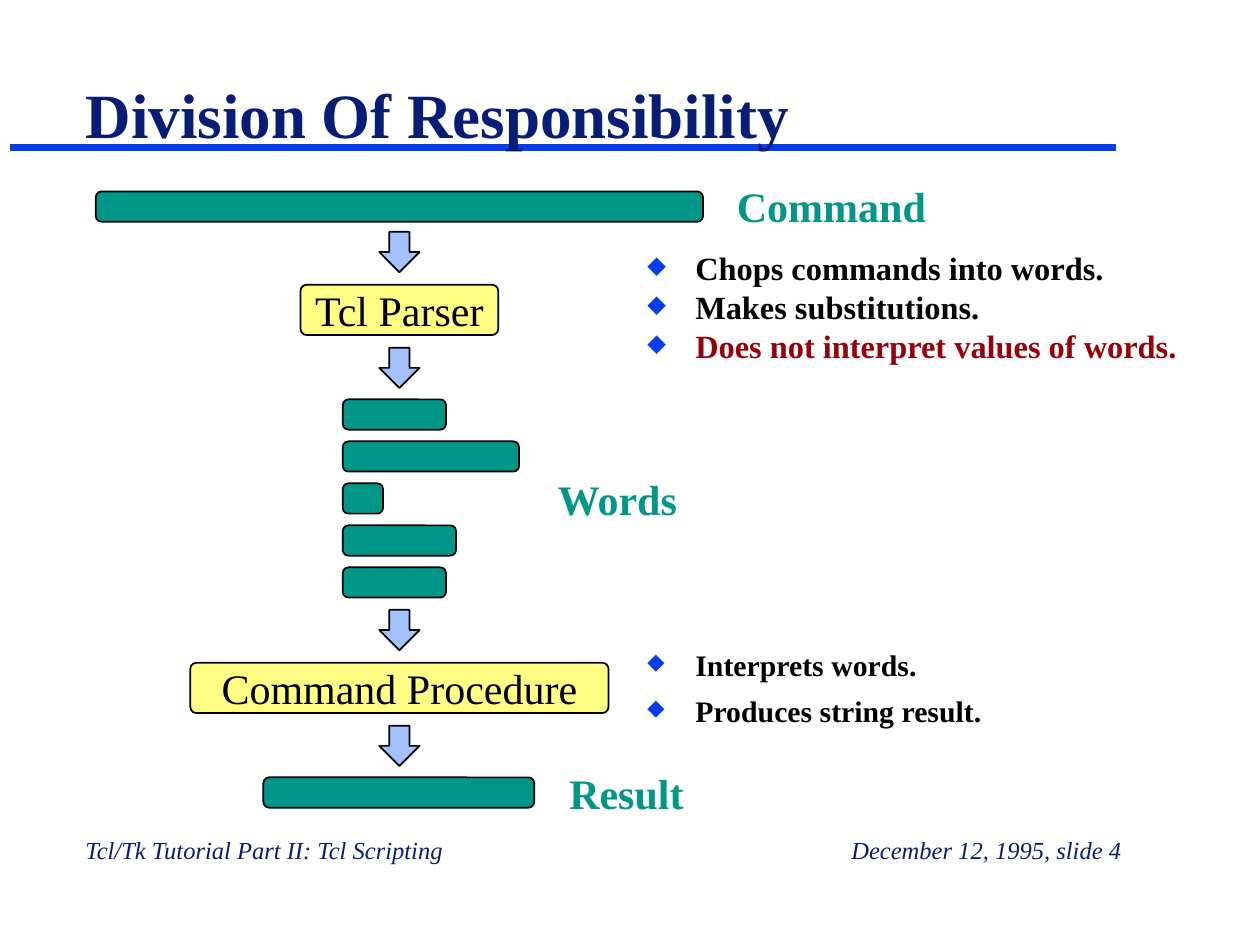
from lxml import etree
from pptx import Presentation
from pptx.dml.color import RGBColor as RGB
from pptx.enum.shapes import MSO_CONNECTOR as LINE, MSO_SHAPE as SHAPE
from pptx.enum.text import MSO_ANCHOR as ANCHOR, MSO_AUTO_SIZE as SIZE, PP_ALIGN as ALIGN
from pptx.oxml.ns import qn
from pptx.util import Inches, Pt

HEX = {"navy": "081D75", "blue": "063DE8", "teal": "009688", "sky": "A2C1FE",
       "yellow": "FFFF84", "red": "97000A", "black": "000000"}
AXIS = 3.17  # centre line of the flow


def add_run(para, text, size, color, bold=False, italic=False):
    run = para.add_run()
    run.text = text
    font = run.font
    font.name, font.size = "Times New Roman", Pt(size)
    font.bold, font.italic = bold, italic
    font.color.rgb = RGB.from_string(HEX[color])


def add_block(kind, left, top, width, height, fill, adj):
    block = slide.shapes.add_shape(kind, Inches(left), Inches(top),
                                   Inches(width), Inches(height))
    block.shadow.inherit = False
    block.fill.solid()
    block.fill.fore_color.rgb = RGB.from_string(HEX[fill])
    block.line.color.rgb = RGB.from_string(HEX["black"])
    block.line.width = Pt(1)
    block.adjustments[0] = adj
    return block


prs = Presentation()
prs.slide_width, prs.slide_height = Inches(10), Inches(7.5)
slide = prs.slides.add_slide(prs.slide_layouts[5])

# Title and its rule
rule = slide.shapes.add_connector(LINE.STRAIGHT, Inches(0.08), Inches(1.17),
                                  Inches(8.86), Inches(1.17))
rule.line.color.rgb = RGB.from_string(HEX["blue"])
rule.line.width = Pt(4)
etree.SubElement(rule._element.spPr, qn("a:effectLst"))

title = slide.shapes.title
title.left, title.top = Inches(0.58), Inches(0.04)
title.width, title.height = Inches(8.33), Inches(1.21)
frame = title.text_frame
frame.auto_size = SIZE.NONE
frame.vertical_anchor = ANCHOR.BOTTOM
frame.paragraphs[0].alignment = ALIGN.LEFT
add_run(frame.paragraphs[0], "Division Of Responsibility", 36, "navy", bold=True)
tree = slide.shapes._spTree
tree.remove(title._element)
tree.append(title._element)  # the title lies over its rule

# Command, words and result bars
bars = [(AXIS - 2.41, 1.52, 4.82), (AXIS - 1.08, 6.17, 2.15)]
bars += [(2.72, 3.17 + i / 3, width)
         for i, width in enumerate([0.82, 1.4, 0.32, 0.9, 0.82])]
for left, top, width in bars:
    add_block(SHAPE.ROUNDED_RECTANGLE, left, top, width, 0.24, "teal", 0.19)

for top in (1.84, 2.76, 4.84, 5.76):
    add_block(SHAPE.DOWN_ARROW, AXIS - 0.16, top, 0.32, 0.32, "sky", 0.5)

for text, top, width in [("Tcl Parser", 2.26, 1.57), ("Command Procedure", 5.26, 3.32)]:
    step = add_block(SHAPE.ROUNDED_RECTANGLE, AXIS - width / 2, top, width, 0.4,
                     "yellow", 0.125)
    frame = step.text_frame
    frame.word_wrap = False
    frame.vertical_anchor = ANCHOR.MIDDLE
    frame.paragraphs[0].alignment = ALIGN.CENTER
    add_run(frame.paragraphs[0], text, 24, "black")

# Bar labels and footers
labels = [("Command", 5.75, 1.38), ("Words", 4.33, 3.71), ("Result", 4.42, 6.04)]
notes = [(text, left, top, 1.84, 0.5, ALIGN.LEFT, 24, "teal", True, False)
         for text, left, top in labels]
notes += [(text, left, 6.58, 4.76, 0.33, align, 14, "navy", False, True)
          for text, left, align in [
              ("Tcl/Tk Tutorial Part II: Tcl Scripting", 0.58, ALIGN.LEFT),
              ("December 12, 1995, slide 4", 4.24, ALIGN.RIGHT)]]
for text, left, top, width, height, align, size, color, bold, italic in notes:
    box = slide.shapes.add_textbox(Inches(left), Inches(top), Inches(width), Inches(height))
    box.text_frame.word_wrap = True
    para = box.text_frame.paragraphs[0]
    para.alignment = align
    add_run(para, text, size, color, bold, italic)

# Bulleted lists
lists = [
    (1.92, 4.87, 1.08, 18.5, 0, [("Chops commands into words.", "black"),
                                 ("Makes substitutions.", "black"),
                                 ("Does not interpret values of words.", "red")]),
    (5.08, 4.12, 0.75, 17, 6.2, [("Interprets words.", "black"),
                                 ("Produces string result.", "black")]),
]
for top, width, height, size, gap, items in lists:
    box = slide.shapes.add_textbox(Inches(5.04), Inches(top), Inches(width), Inches(height))
    frame = box.text_frame
    frame.word_wrap = True
    for i, (text, color) in enumerate(items):
        para = frame.add_paragraph() if i else frame.paragraphs[0]
        para.space_before = Pt(gap)
        props = para._p.get_or_add_pPr()
        props.set("marL", str(Inches(0.38)))
        props.set("indent", str(-Inches(0.38)))
        tint = etree.SubElement(props, qn("a:buClr"))
        etree.SubElement(tint, qn("a:srgbClr"), val=HEX["blue"])
        etree.SubElement(props, qn("a:buSzPct"), val="75000")
        etree.SubElement(props, qn("a:buChar"), char="◆")
        add_run(para, text, size, color, bold=True)

prs.save("out.pptx")
